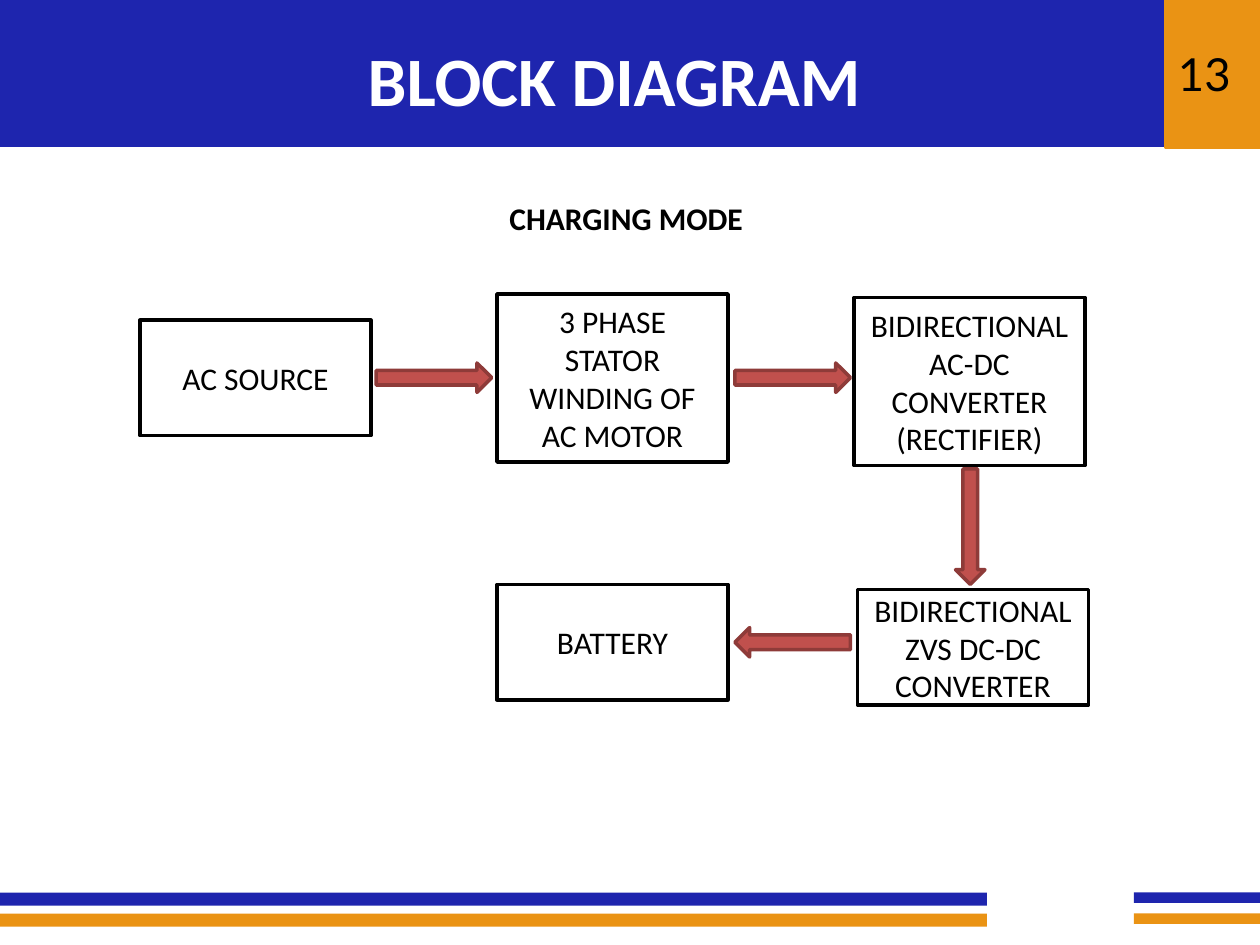
import pptx
import pptx.dml.color
import pptx.enum.shapes
import pptx.enum.text
import pptx.util

Pt = pptx.util.Pt
SHAPE = pptx.enum.shapes.MSO_SHAPE
ALIGN = pptx.enum.text.PP_ALIGN
MIDDLE = pptx.enum.text.MSO_ANCHOR.MIDDLE

BLUE, ORANGE = "1E25AE", "EA9314"
BLACK, WHITE = "000000", "FFFFFF"
RED, DARK_RED = "C0504D", "8E3B39"

deck = pptx.Presentation()
deck.slide_width, deck.slide_height = Pt(720), Pt(540)
page = deck.slides.add_slide(deck.slide_layouts[6])


def add_block(kind, left, top, width, height, fill=None, line=None):
    """Add a preset shape; without a colour, fill or outline stays empty."""
    block = page.shapes.add_shape(kind, Pt(left), Pt(top), Pt(width), Pt(height))
    block.shadow.inherit = False
    for part, color in ((block.fill, fill), (block.line.fill, line)):
        if color:
            part.solid()
            part.fore_color.rgb = pptx.dml.color.RGBColor.from_string(color)
        else:
            part.background()
    if line:
        block.line.width = Pt(2)
    return block


def write(box, lines, size, color=BLACK, align=ALIGN.CENTER, bold=False, font="Calibri"):
    """Fill a shape or text box with one paragraph per line."""
    frame = box.text_frame
    frame.word_wrap = True
    frame.vertical_anchor = MIDDLE
    for index, line in enumerate(lines):
        para = frame.add_paragraph() if index else frame.paragraphs[0]
        para.alignment = align
        span = para.add_run()
        span.text = line
        span.font.name, span.font.size, span.font.bold = font, Pt(size), bold
        span.font.color.rgb = pptx.dml.color.RGBColor.from_string(color)


# Header band and footer stripes
add_block(SHAPE.RECTANGLE, 0, 0, 720, 84, BLUE)
for left, width, height in ((0, 564, 7.5), (648, 72, 6)):
    for top, color in ((522, ORANGE), (510, BLUE)):
        add_block(SHAPE.RECTANGLE, left, top, width, height, color)

title = page.shapes.add_textbox(Pt(36), Pt(18), Pt(630), Pt(54))
write(title, ["BLOCK DIAGRAM"], 39.6, WHITE, bold=True)

# Stages of the charging path
stages = [
    (80, 183, 66, ["AC SOURCE"]),
    (284, 168, 96, ["3 PHASE STATOR WINDING OF AC MOTOR"]),
    (488, 170, 96, ["BIDIRECTIONAL AC-DC CONVERTER", "(RECTIFIER)"]),
    (490, 337, 66, ["BIDIRECTIONAL ZVS DC-DC CONVERTER"]),
    (284, 334, 66, ["BATTERY"]),
]
for left, top, height, lines in stages:
    stage = add_block(SHAPE.RECTANGLE, left, top, 132, height, WHITE, BLACK)
    write(stage, lines, 18)

# Arrows between the stages
arrow_length, arrow_breadth = 66, 16.8
for kind, left, top in (
    (SHAPE.RIGHT_ARROW, 215, 207.4),
    (SHAPE.RIGHT_ARROW, 420, 207.4),
    (SHAPE.LEFT_ARROW, 420, 358.6),
):
    add_block(kind, left, top, arrow_length, arrow_breadth, RED, DARK_RED)
add_block(SHAPE.DOWN_ARROW, 546, 268, arrow_breadth, arrow_length, RED, DARK_RED)

mode = page.shapes.add_textbox(Pt(284), Pt(110), Pt(288), Pt(29))
write(mode, ["CHARGING MODE"], 18, align=ALIGN.LEFT, bold=True)

number = add_block(SHAPE.RECTANGLE, 666, 0, 54, 84, ORANGE, ORANGE)
write(number, ["13"], 26, align=ALIGN.LEFT, font="Lato")

deck.save("out.pptx")
